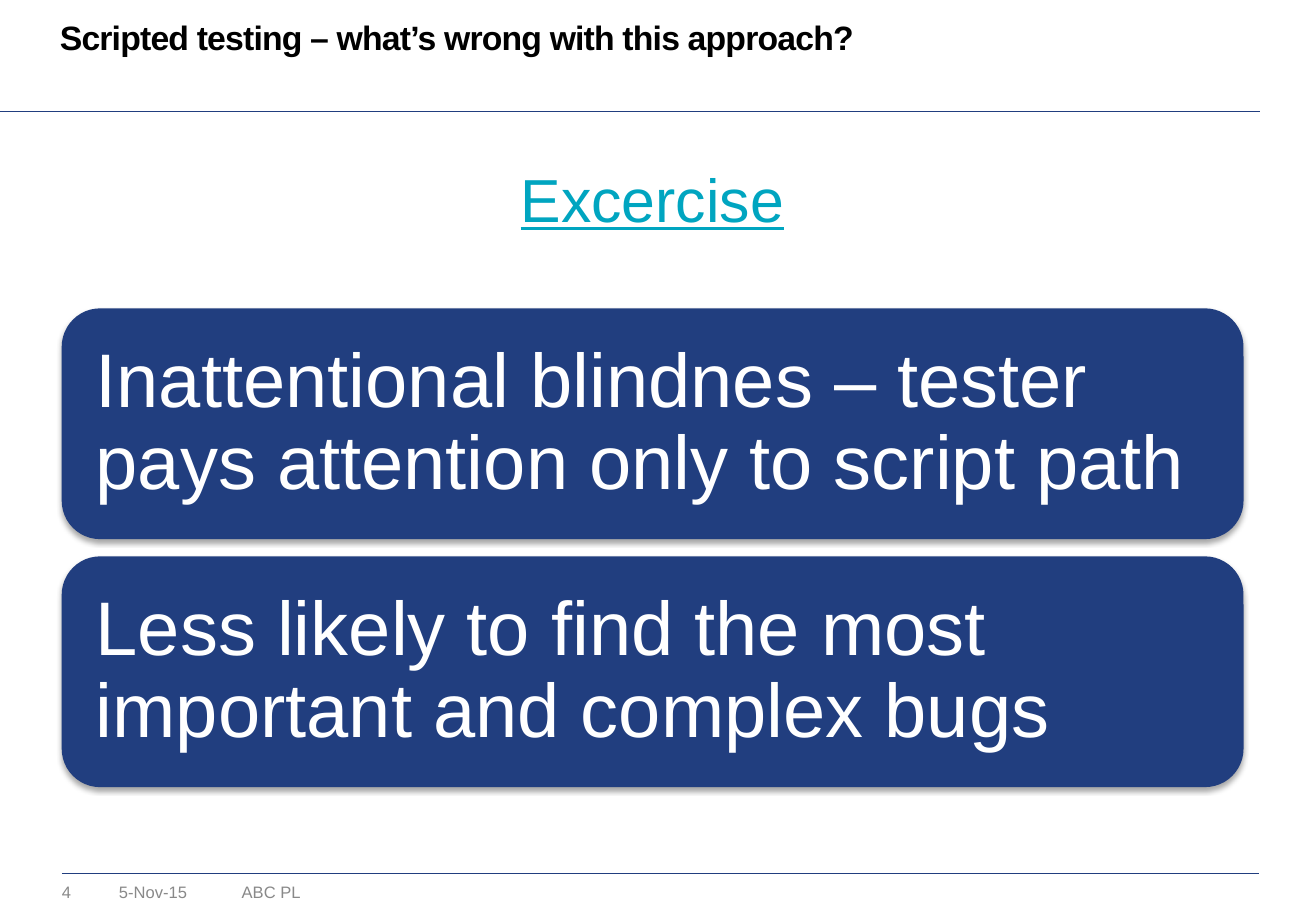
from lxml import etree
from pptx import Presentation
from pptx import util as u
from pptx.dml.color import RGBColor
from pptx.enum import shapes, text
from pptx.oxml import ns

NAVY = RGBColor(0x21, 0x3E, 0x7F)
TEAL = RGBColor(0x00, 0xA5, 0xC0)
GREY = RGBColor(0x89, 0x89, 0x89)
BLACK = RGBColor(0, 0, 0)
WHITE = RGBColor(255, 255, 255)


class SlideBuilder:
    font_name = "Arial"

    def __init__(self, slide):
        self.slide = slide

    def set_text(self, shape, words, size, color, inset=0, align=text.PP_ALIGN.LEFT,
                 anchor=text.MSO_ANCHOR.TOP, line_spacing=1.0):
        frame = shape.text_frame
        frame.word_wrap = True
        frame.vertical_anchor = anchor
        frame.margin_left = frame.margin_right = u.Pt(inset)
        frame.margin_top = frame.margin_bottom = u.Pt(inset)
        paragraph = frame.paragraphs[0]
        paragraph.text = words
        paragraph.alignment = align
        paragraph.line_spacing = line_spacing
        paragraph.font.name = self.font_name
        paragraph.font.size = u.Pt(size)
        paragraph.font.color.rgb = color
        return paragraph

    def label(self, left, top, width, height, words, size, color, **style):
        shape = self.slide.shapes.add_textbox(u.Pt(left), u.Pt(top), u.Pt(width), u.Pt(height))
        return self.set_text(shape, words, size, color, **style)

    def title(self, words):
        paragraph = self.label(35.5, 12.25, 715, 22.5, words, 20, BLACK,
                               line_spacing=u.Pt(21.7))
        paragraph.font.bold = True
        paragraph.runs[0]._r.get_or_add_rPr().set("spc", "-50")

    def rule(self, left, right, top):
        line = self.slide.shapes.add_connector(
            shapes.MSO_CONNECTOR.STRAIGHT, u.Pt(left), u.Pt(top), u.Pt(right), u.Pt(top))
        line.line.color.rgb = NAVY
        line.line.width = u.Pt(0.25)
        etree.SubElement(line._element.spPr, ns.qn("a:effectLst"))

    def card(self, left, top, width, height, words):
        shape = self.slide.shapes.add_shape(
            shapes.MSO_SHAPE.ROUNDED_RECTANGLE,
            u.Pt(left), u.Pt(top), u.Pt(width), u.Pt(height))
        shape.fill.solid()
        shape.fill.fore_color.rgb = NAVY
        shape.line.fill.background()
        self.drop_shadow(shape)
        self.set_text(shape, words, 45, WHITE, inset=13.5,
                      anchor=text.MSO_ANCHOR.MIDDLE, line_spacing=0.9)

    def drop_shadow(self, shape):
        shape.shadow.inherit = False
        effects = shape._element.spPr.find(ns.qn("a:effectLst"))
        shadow = etree.SubElement(
            effects, ns.qn("a:outerShdw"), blurRad=str(u.Pt(3.1)), dist=str(u.Pt(1.8)),
            dir="5400000", rotWithShape="0")
        color = etree.SubElement(shadow, ns.qn("a:srgbClr"), val=str(BLACK))
        etree.SubElement(color, ns.qn("a:alpha"), val="35000")


def main():
    presentation = Presentation()
    presentation.slide_width = u.Pt(780)
    presentation.slide_height = u.Pt(540)
    builder = SlideBuilder(presentation.slides.add_slide(presentation.slide_layouts[6]))

    builder.rule(0, 747, 66)
    builder.rule(36.75, 746.5, 517.6)
    for left, width, words in ((36.75, 28, "4"), (70.5, 64, "5-Nov-15"), (143.25, 101.5, "ABC PL")):
        builder.label(left, 522.7, width, 12, words, 9.8, GREY)

    builder.title("Scripted testing – what’s wrong with this approach?")
    exercise = builder.label(299.5, 92.2, 174.25, 51, "Excercise", 36, TEAL,
                             inset=3.6, align=text.PP_ALIGN.CENTER)
    exercise.font.underline = True

    drawbacks = (
        "Inattentional blindnes – tester pays attention only to script path",
        "Less likely to find the most important and complex bugs",
    )
    for index, words in enumerate(drawbacks):
        builder.card(36.6, 182.8 + index * 147, 700.5, 136.8, words)

    presentation.save("out.pptx")


if __name__ == "__main__":
    main()
